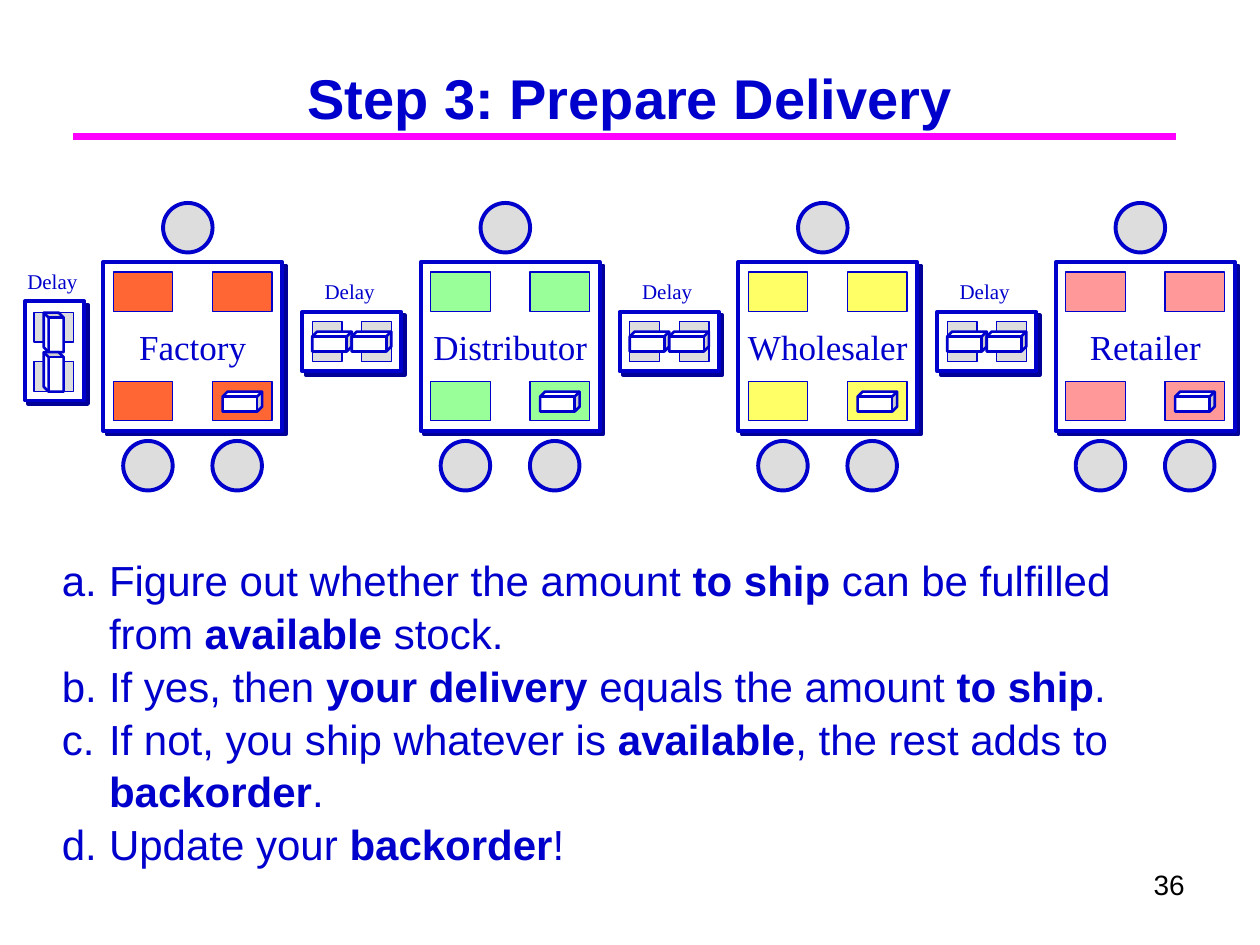
from lxml import etree
from pptx import Presentation
from pptx.dml.color import RGBColor
from pptx.enum import shapes, text
from pptx.oxml import parse_xml
from pptx.oxml.ns import nsdecls, qn
from pptx.util import Pt

BLUE, GREY, WHITE = "0000CC", "DDDDDD", "FFFFFF"
SERIF = "Times New Roman"
KIND = shapes.MSO_SHAPE
SHADOW = (f'<a:effectLst {nsdecls("a")}><a:outerShdw blurRad="0" dist="35900" dir="2700000" '
          'algn="ctr" rotWithShape="0"><a:srgbClr val="000099"/></a:outerShdw></a:effectLst>')


def style(span, size, name, color=BLUE, bold=False):
    span.font.size, span.font.name, span.font.bold = Pt(size), name, bold
    span.font.color.rgb = RGBColor.from_string(color)


def draw(kind, left, top, width, height, fill, line, turn=0, shadow=False):
    shape = page.shapes.add_shape(kind, Pt(left), Pt(top), Pt(width), Pt(height))
    shape.fill.solid()
    shape.fill.fore_color.rgb = RGBColor.from_string(fill)
    shape.line.color.rgb = RGBColor.from_string(BLUE)
    shape.line.width = Pt(line)
    shape.rotation = turn
    if shadow:
        shape._element.spPr.append(parse_xml(SHADOW))
    else:
        shape.shadow.inherit = False
    return shape


deck = Presentation()
deck.slide_width, deck.slide_height = Pt(720), Pt(540)
page = deck.slides.add_slide(deck.slide_layouts[5])

# Title and rule
title = page.shapes.title
title.left, title.top, title.width, title.height = Pt(54), Pt(12.2), Pt(612), Pt(66.2)
frame = title.text_frame
frame.text = "Step 3: Prepare Delivery"
frame.vertical_anchor = text.MSO_ANCHOR.BOTTOM
frame.auto_size = text.MSO_AUTO_SIZE.NONE
frame.paragraphs[0].alignment = text.PP_ALIGN.CENTER
style(frame.paragraphs[0].runs[0], 32, "Arial", bold=True)

rule = page.shapes.add_connector(shapes.MSO_CONNECTOR.STRAIGHT, Pt(42), Pt(78), Pt(672), Pt(78))
rule.line.color.rgb = RGBColor.from_string("FF00FF")
rule.line.width = Pt(4)
etree.SubElement(rule._element.spPr, qn("a:effectLst"))

# Stations: table, four mats, three chairs and a crate on the last mat
stations = [("Factory", "FF6633"), ("Distributor", "99FF99"),
            ("Wholesaler", "FFFF66"), ("Retailer", "FF9999")]
pitch = 181.44
for index, (name, color) in enumerate(stations):
    left = 59 + index * pitch
    table = draw(KIND.RECTANGLE, left, 149.75, 102.3, 96.5, WHITE, 2.25, shadow=True)
    frame = table.text_frame
    frame.text = name
    frame.word_wrap = False
    frame.vertical_anchor = text.MSO_ANCHOR.MIDDLE
    frame.paragraphs[0].alignment = text.PP_ALIGN.CENTER
    style(frame.paragraphs[0].runs[0], 20, SERIF)
    for top in (155.5, 218):
        for offset in (5.7, 62.4):
            draw(KIND.RECTANGLE, left + offset, top, 34, 22.5, color, 0.75)
    for offset, top in ((34.2, 116), (11.4, 252), (62.4, 252)):
        draw(KIND.OVAL, left + offset, top, 28.3, 28.3, GREY, 2.25)
    draw(KIND.CUBE, left + 68.2, 223.8, 22.6, 11.4, WHITE, 1.5)

# Delays: (left, top) of board, two spots, two crates and label, with the turn
delays = [(0, 270, (2.9, 183.5), [(22.3, 203.8), (22.3, 175.5)],
           [(19.4, 184.2), (19.4, 206.8)], (8.5, 149.75))]
for index in range(3):
    left = 172.7 + index * pitch
    delays.append((left, 0, (0, 178.2), [(5.7, 183.8), (34, 183.8)],
                   [(5.7, 189.5), (28.3, 189.5)], (5.7, 155.5)))

for left, turn, board, spots, crates, label in delays:
    draw(KIND.RECTANGLE, left + board[0], board[1], 56.7, 34, WHITE, 2.25, turn, shadow=True)
    for x, y in spots:
        draw(KIND.RECTANGLE, left + x, y, 17, 22.7, GREY, 0.75, turn)
    for x, y in crates:
        draw(KIND.CUBE, left + x, y, 22.6, 11.4, WHITE, 1.5, turn)
    box = page.shapes.add_textbox(Pt(left + label[0]), Pt(label[1]), Pt(44.6), Pt(21.6))
    box.text_frame.text = "Delay"
    box.text_frame.word_wrap = False
    style(box.text_frame.paragraphs[0].runs[0], 12, SERIF)

# Lettered steps; every second piece is bold
steps = [
    ["Figure out whether the amount ", "to ship", " can be fulfilled from ", "available", " stock."],
    ["If yes, then ", "your delivery", " equals the amount ", "to ship", "."],
    ["If not, you ship whatever is ", "available", ", the rest adds to ", "backorder", "."],
    ["Update your ", "backorder", "!"],
]
box = page.shapes.add_textbox(Pt(28.2), Pt(311.8), Pt(651.6), Pt(181.4))
frame = box.text_frame
frame.word_wrap = True
for index, pieces in enumerate(steps):
    para = frame.add_paragraph() if index else frame.paragraphs[0]
    para.line_spacing = 1.05
    props = para._p.get_or_add_pPr()
    props.set("marL", str(Pt(27)))
    props.set("indent", str(Pt(-27)))
    etree.SubElement(props, qn("a:buFont"), typeface="Arial")
    etree.SubElement(props, qn("a:buAutoNum"), type="alphaLcPeriod")
    for position, piece in enumerate(pieces):
        span = para.add_run()
        span.text = piece
        style(span, 24, "Arial", bold=position % 2 == 1)

# Page number
box = page.shapes.add_textbox(Pt(516), Pt(492), Pt(168), Pt(37.5))
box.text_frame.word_wrap = True
box.text_frame.text = "36"
para = box.text_frame.paragraphs[0]
para.alignment = text.PP_ALIGN.RIGHT
style(para.runs[0], 16, "Arial", "000000")

deck.save("out.pptx")
